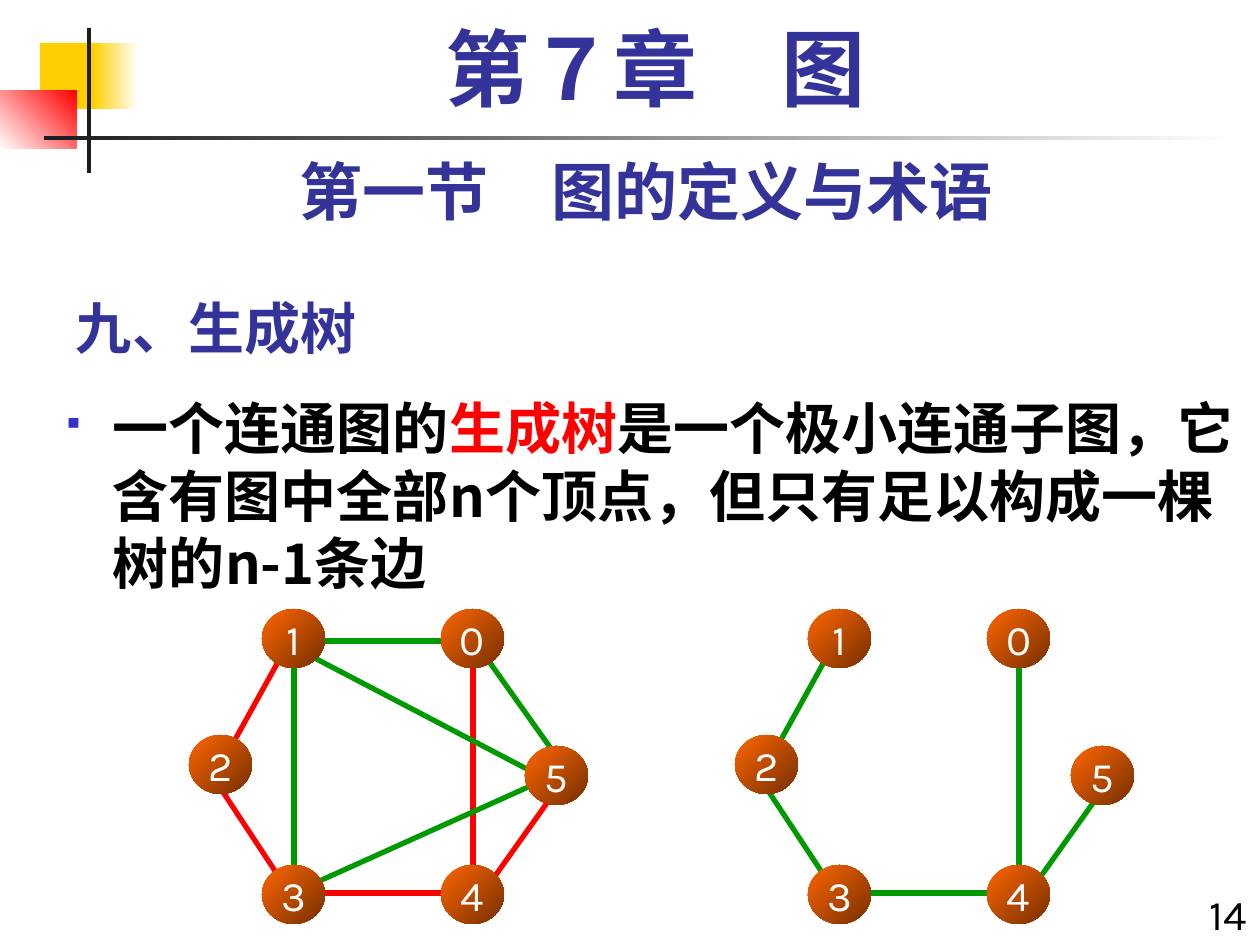
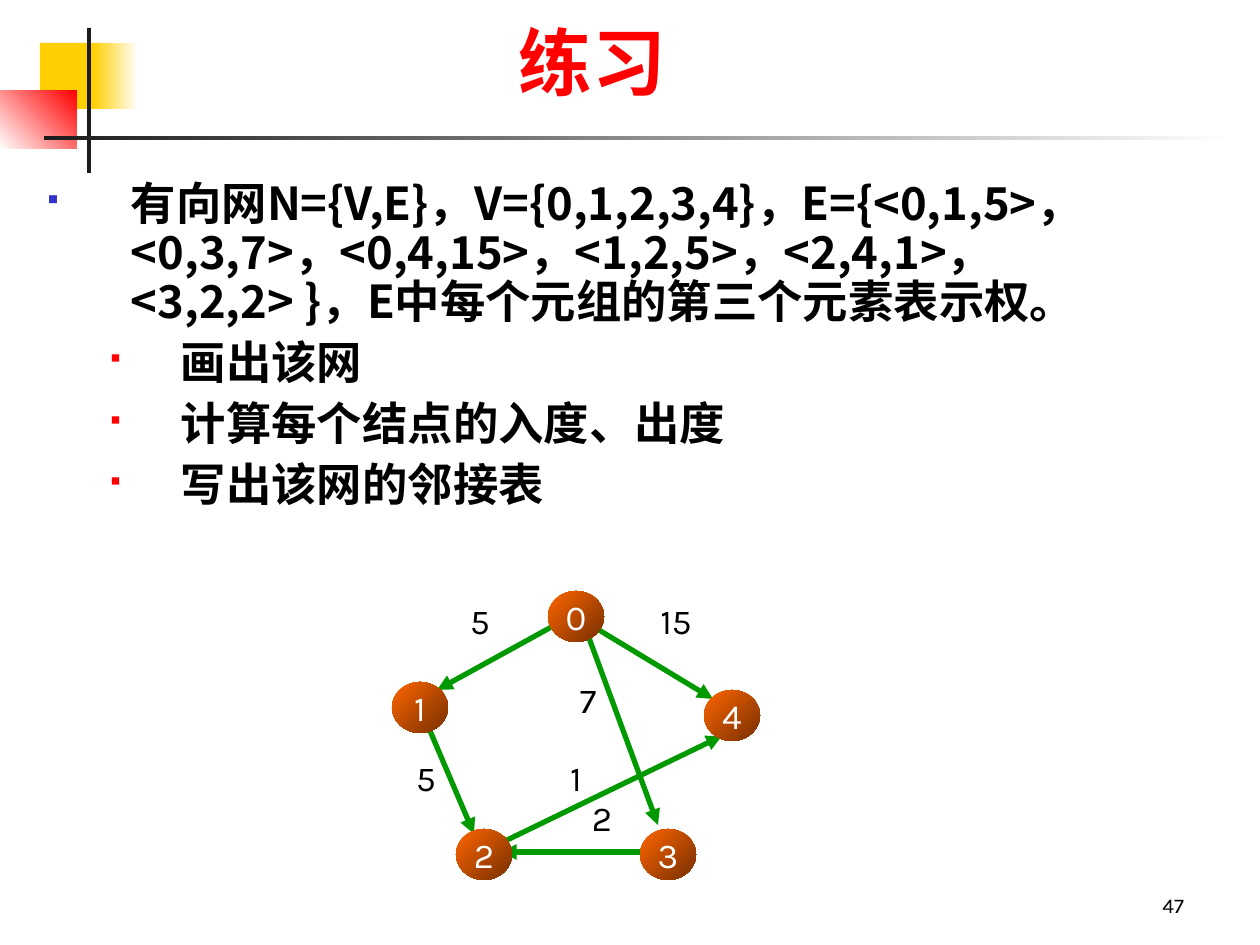
from lxml import etree
from pptx import Presentation
from pptx.dml.color import RGBColor
from pptx.enum import shapes, text
from pptx.oxml import parse_xml
from pptx.oxml.ns import nsdecls, qn
from pptx.util import Emu, Pt

SCALE = 914400 / 126
LATIN, CJK, SERIF = "Karla", "Noto Sans CJK SC", "Times New Roman"
NAVY, BLUE, RED, GREEN = "333399", "3333CC", "FF0000", "009900"
BLACK, WHITE, DARK, GOLD = "000000", "FFFFFF", "1C1C1C", "FFCF01"
ORANGE, BROWN = "FF6600", "762F00"
LEFT, MID, RIGHT = text.PP_ALIGN.LEFT, text.PP_ALIGN.CENTER, text.PP_ALIGN.RIGHT
TOP, CENTRE, BASE = (text.MSO_ANCHOR.TOP, text.MSO_ANCHOR.MIDDLE,
                     text.MSO_ANCHOR.BOTTOM)


def px(n):
    return Emu(round(n * SCALE))


def rgb(code):
    return RGBColor.from_string(code)


def add_run(para, words, size, color, face=LATIN, bold=False):
    run = para.add_run()
    run.text = words
    font = run.font
    font.size, font.bold, font.name = Pt(size), bold, face
    font.color.rgb = rgb(color)
    east = etree.SubElement(run._r.get_or_add_rPr(), qn("a:ea"))
    east.set("typeface", CJK)


def set_frame(shape, anchor, inset=13, wrap=True, grow=False):
    frame = shape.text_frame
    frame.word_wrap = wrap
    frame.auto_size = (text.MSO_AUTO_SIZE.SHAPE_TO_FIT_TEXT if grow
                       else text.MSO_AUTO_SIZE.NONE)
    frame.vertical_anchor = anchor
    frame.margin_left = frame.margin_right = px(inset)
    frame.margin_top = frame.margin_bottom = px(6)
    return frame


def add_box(slide, box, anchor=TOP, grow=False):
    return set_frame(slide.shapes.add_textbox(*map(px, box)), anchor, grow=grow)


def add_label(slide, box, words, size, color=BLACK, align=MID, face=LATIN,
              bold=False, anchor=TOP, grow=True, lead=None):
    para = add_box(slide, box, anchor, grow).paragraphs[0]
    para.alignment, para.line_spacing = align, lead
    add_run(para, words, size, color, face, bold)


def set_title(slide, box, words, size, color, face, align, anchor):
    title = slide.shapes.title
    title.left, title.top, title.width, title.height = map(px, box)
    para = set_frame(title, anchor).paragraphs[0]
    para.alignment = align
    add_run(para, words, size, color, face, True)


def add_bullet(para, color, percent, left, hang):
    props = para._p.get_or_add_pPr()
    props.set("marL", str(px(left)))
    props.set("indent", str(-px(hang)))
    for tag in (f'buClr {nsdecls("a")}><a:srgbClr val="{color}"/></a:buClr',
                f'buSzPct {nsdecls("a")} val="{percent * 1000}"/',
                f'buFont {nsdecls("a")} typeface="Wingdings"/',
                f'buChar {nsdecls("a")} char="§"/'):
        props.append(parse_xml(f"<a:{tag}>"))


def add_form(slide, kind, box, start, end=None, angle=0):
    """Borderless shape, filled plainly or with a gradient turned clockwise."""
    shape = slide.shapes.add_shape(kind, *map(px, box))
    shape.shadow.inherit = False
    shape.line.fill.background()
    fill = shape.fill
    if end is None:
        fill.solid()
        fill.fore_color.rgb = rgb(start)
    else:
        fill.gradient()
        fill.gradient_angle = -angle % 360
        for stop, color in zip(fill.gradient_stops, (start, end)):
            stop.color.rgb = rgb(color)
    return shape


def add_band(slide):
    for box, *fill in (
            ((40, 43, 60, 66), GOLD),
            ((93, 43, 45, 66), GOLD, WHITE),
            ((0, 91, 77, 58), WHITE, RED, 315),
            ((87, 28, 4, 145), DARK),
            ((44, 136, 1191, 4), DARK, WHITE)):
        add_form(slide, shapes.MSO_SHAPE.RECTANGLE, box, *fill)


def add_edge(slide, origin, ends, color, arrow=False):
    x, y = origin
    x1, y1, x2, y2 = ends
    edge = slide.shapes.add_connector(
        shapes.MSO_CONNECTOR.STRAIGHT,
        px(x + x1), px(y + y1), px(x + x2), px(y + y2))
    edge.line.color.rgb = rgb(color)
    edge.line.width = Pt(3)
    if arrow:
        tip = etree.SubElement(edge.line._get_or_add_ln(), qn("a:tailEnd"))
        tip.set("type", "triangle")
    etree.SubElement(edge._element.spPr, qn("a:effectLst"))


def add_nodes(slide, origin, nodes, width, height, size):
    x, y = origin
    for name, (dx, dy) in nodes.items():
        node = add_form(slide, shapes.MSO_SHAPE.OVAL,
                        (x + dx, y + dy, width, height), ORANGE, BROWN, 45)
        para = set_frame(node, CENTRE, 0, False).paragraphs[0]
        para.alignment = MID
        add_run(para, name, size, WHITE)


RING = {"1": (73, 0), "3": (73, 256), "2": (0, 126),
        "5": (336, 137), "4": (252, 256), "0": (252, 0)}
TREE = [(284, 54, 284, 264), (94, 44, 42, 138), (94, 274, 32, 180),
        (273, 284, 116, 284), (368, 180, 294, 284)]
EXTRA = [(262, 32, 136, 32), (294, 44, 368, 148), (105, 274, 105, 54),
         (357, 170, 116, 44), (357, 170, 126, 274)]

NET = {"1": (0, 91), "3": (248, 238), "2": (64, 238),
       "4": (312, 99), "0": (156, 0)}
ARCS = [(202, 36, 321, 108), (36, 135, 82, 243), (174, 28, 45, 99),
        (193, 36, 266, 234), (248, 261, 109, 261), (109, 252, 330, 145)]
COSTS = [("5", 54, 2, 68), ("5", 0, 159, 68), ("15", 230, 2, 108),
         ("1", 150, 159, 68), ("7", 162, 81, 68), ("2", 176, 199, 68)]


def add_ring(slide, origin, groups):
    for edges, color in groups:
        for ends in edges:
            add_edge(slide, origin, ends, color)
    add_nodes(slide, origin, RING, 63, 59, 24)


def add_net(slide, origin):
    x, y = origin
    for ends in ARCS:
        add_edge(slide, origin, ends, GREEN, True)
    add_nodes(slide, origin, NET, 56, 51, 20)
    for cost, dx, dy, width in COSTS:
        add_label(slide, (x + dx, y + dy, width, 55), cost, 20)


def new_slide(deck):
    slide = deck.slides.add_slide(deck.slide_layouts[5])
    add_band(slide)
    return slide


def tree_slide(deck):
    slide = new_slide(deck)
    set_title(slide, (63, 273, 788, 94), "九、生成树", 32, NAVY, CJK, LEFT, BASE)
    add_label(slide, (1176, 882, 84, 96), "14", 24, align=RIGHT)
    add_label(slide, (63, 147, 1166, 88), "第一节　图的定义与术语", 36, NAVY,
              bold=True)
    add_label(slide, (84, 21, 1144, 105), "第７章　图", 48, NAVY, face=SERIF,
              bold=True, anchor=CENTRE, grow=False, lead=0.9)
    para = add_box(slide, (53, 388, 1207, 557)).paragraphs[0]
    add_bullet(para, BLUE, 60, 47, 47)
    for words, color in (
            ("一个连通图的", BLACK), ("生成树", RED),
            ("是一个极小连通子图，它含有图中全部n个顶点，"
             "但只有足以构成一棵树的n-1条边", BLACK)):
        add_run(para, words, 32, color, CJK, True)
    add_ring(slide, (189, 609), [(TREE, RED), (EXTRA, GREEN)])
    add_ring(slide, (735, 609), [(TREE, GREEN)])


def task_slide(deck):
    slide = new_slide(deck)
    set_title(slide, (25, 16, 1134, 90), "练习", 42, RED, LATIN, MID, CENTRE)
    add_label(slide, (903, 861, 294, 63), "47", 12, align=RIGHT, anchor=BASE,
              grow=False)
    frame = add_box(slide, (34, 175, 1181, 387))
    tasks = ["有向网N={V,E}，V={0,1,2,3,4}，E={<0,1,5>，<0,3,7>，<0,4,15>，"
             "<1,2,5>，<2,4,1>，<3,2,2> }，E中每个元组的第三个元素表示权。",
             "画出该网", "计算每个结点的入度、出度", "写出该网的邻接表"]
    for i, words in enumerate(tasks):
        para = frame.add_paragraph() if i else frame.paragraphs[0]
        if i:
            para.level = 1
            add_bullet(para, RED, 55, 134, 71)
            para.space_before = Pt(7)
        else:
            add_bullet(para, BLUE, 60, 84, 84)
        para.line_spacing = 0.9
        add_run(para, words, 25.9, BLACK, CJK, True)
    add_net(slide, (392, 591))


def main():
    deck = Presentation()
    deck.slide_width, deck.slide_height = px(1260), px(945)
    tree_slide(deck)
    task_slide(deck)
    deck.save("out.pptx")


if __name__ == "__main__":
    main()
